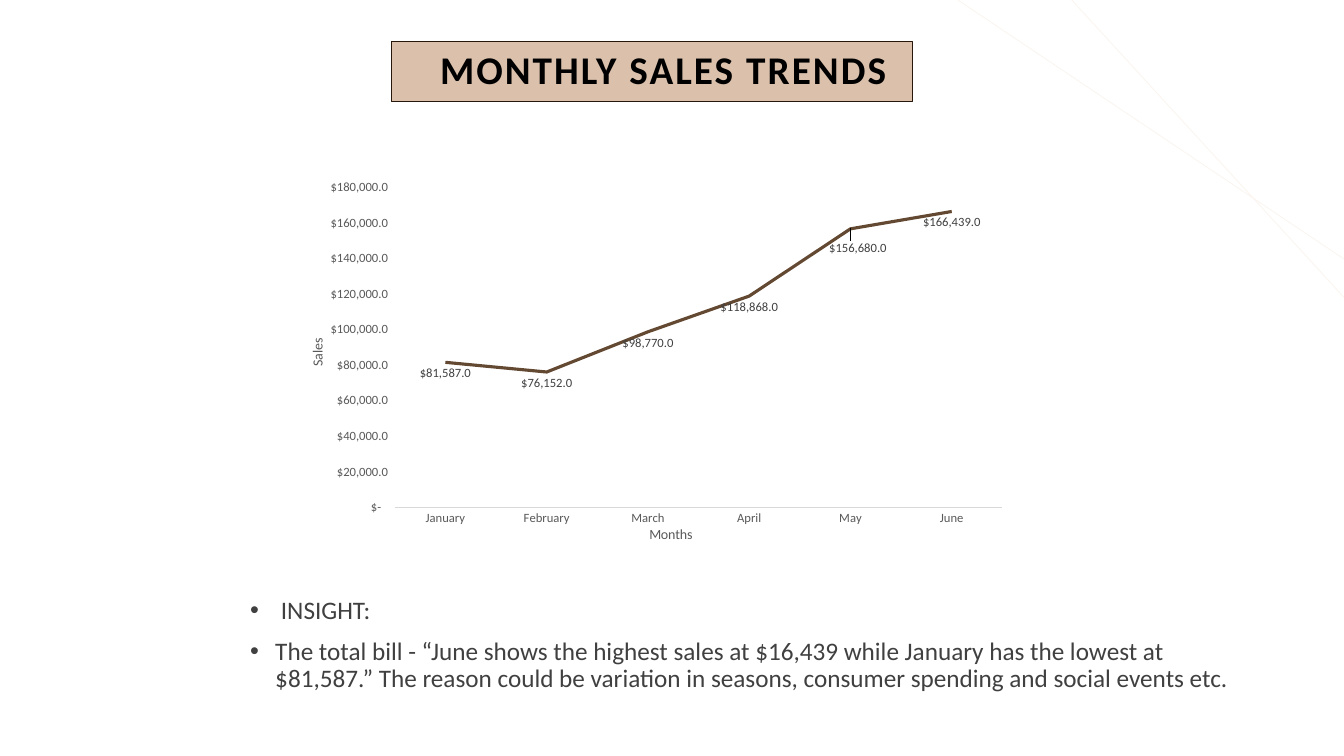
"""Build the monthly sales trends slide."""
from lxml import etree
from pptx import Presentation
from pptx.chart.data import CategoryChartData
from pptx.dml.color import RGBColor
from pptx.enum import chart as ch, shapes, text
from pptx.oxml.ns import qn
from pptx.util import Inches, Pt

WHITE = RGBColor(0xFF, 0xFF, 0xFF)
BLACK = RGBColor(0, 0, 0)
TAN = RGBColor(0xDB, 0xC1, 0xAC)
DARK_BROWN = RGBColor(0x27, 0x16, 0x0A)
BROWN = RGBColor(0x63, 0x48, 0x32)
CREAM = RGBColor(0xFB, 0xF4, 0xEF)
TEXT_GREY = RGBColor(0x40, 0x40, 0x40)
AXIS_GREY = RGBColor(0x59, 0x59, 0x59)
LINE_GREY = RGBColor(0xD9, 0xD9, 0xD9)
FONT = "Calibri"
MONEY = ('_-[$$-409]* #,##0.0_ ;_-[$$-409]* \\-#,##0.0\\ ;'
         '_-[$$-409]* "-"?_ ;_-@_ ')
SALES = {"January": 81587, "February": 76152, "March": 98770,
         "April": 118868, "May": 156680, "June": 166439}
INSIGHTS = (
    " INSIGHT:",
    "The total bill - “June shows the highest sales at $16,439 while January "
    "has the lowest at $81,587.” The reason could be variation in seasons, "
    "consumer spending and social events etc.",
)


def style(font, size, color, bold=False):
    font.name, font.size, font.bold = FONT, Pt(size), bold
    font.color.rgb = color


def place(sp, left, top, width, height):
    sp.left, sp.top = Inches(left), Inches(top)
    sp.width, sp.height = Inches(width), Inches(height)


def add_line(s, x1, y1, x2, y2):
    sp = s.shapes.add_connector(shapes.MSO_CONNECTOR.STRAIGHT, Inches(x1),
                                Inches(y1), Inches(x2), Inches(y2))
    sp.line.color.rgb = CREAM
    sp.line.width = Pt(0.5)
    etree.SubElement(sp._element.spPr, qn("a:effectLst"))


def add_title(s, title):
    sp = s.shapes.title
    place(sp, 3.88, 0.41, 5.17, 0.6)
    sp.fill.solid()
    sp.fill.fore_color.rgb = TAN
    sp.line.color.rgb = DARK_BROWN
    sp.line.width = Pt(1)
    tf = sp.text_frame
    tf.auto_size = text.MSO_AUTO_SIZE.NONE
    tf.vertical_anchor = text.MSO_ANCHOR.MIDDLE
    tf.margin_left = Inches(0.33)
    p = tf.paragraphs[0]
    p.alignment, p.line_spacing = text.PP_ALIGN.CENTER, 0.9
    r = p.add_run()
    r.text = title
    style(r.font, 28, BLACK, True)
    r.font._element.set("spc", "150")


def add_bullets(s, lines):
    sp = s.placeholders[1]
    place(sp, 2.38, 5.88, 10.02, 1.5)
    tf = sp.text_frame
    tf.auto_size = text.MSO_AUTO_SIZE.NONE
    for i, line in enumerate(lines):
        p = tf.add_paragraph() if i else tf.paragraphs[0]
        pPr = p._p.get_or_add_pPr()
        pPr.set("marL", str(Inches(0.25)))
        pPr.set("indent", str(-Inches(0.25)))
        etree.SubElement(pPr, qn("a:buFont"), typeface="Arial")
        etree.SubElement(pPr, qn("a:buChar"), char="•")
        p.line_spacing = 0.9
        p.space_before = Pt(10 if i else 0)
        r = p.add_run()
        r.text = line
        style(r.font, 18, TEXT_GREY)


def set_layout(parent, index, **values):
    layout = parent.find(qn("c:layout"))
    if layout is not None:
        parent.remove(layout)
    layout = etree.Element(qn("c:layout"))
    parent.insert(index, layout)
    manual = etree.SubElement(layout, qn("c:manualLayout"))
    for name, value in values.items():
        etree.SubElement(manual, qn("c:" + name), val=str(value))


def format_axis(axis, title, x, y):
    axis.has_major_gridlines = False
    axis.major_tick_mark = axis.minor_tick_mark = ch.XL_TICK_MARK.NONE
    style(axis.tick_labels.font, 9, AXIS_GREY)
    r = axis.axis_title.text_frame.paragraphs[0].add_run()
    r.text = title
    style(r.font, 10, AXIS_GREY)
    set_layout(axis.axis_title._element, 1, xMode="edge", yMode="edge", x=x, y=y)


def format_labels(labels):
    style(labels.font, 9, TEXT_GREY)
    labels.position = ch.XL_LABEL_POSITION.BELOW


def add_sales_chart(s):
    data = CategoryChartData(number_format=MONEY)
    data.categories = list(SALES)
    data.add_series("Series 1", list(SALES.values()))
    chart = s.shapes.add_chart(ch.XL_CHART_TYPE.LINE, Inches(2.96), Inches(1.55),
                               Inches(7.35), Inches(3.88), data).chart
    style(chart.font, 10, BLACK)
    chart.has_legend = chart.has_title = False

    months, sales = chart.category_axis, chart.value_axis
    format_axis(months, "Months", 0.47, 0.94)
    format_axis(sales, "Sales", 0.01, 0.46)
    months.format.line.color.rgb = LINE_GREY
    months.format.line.width = Pt(0.75)
    sales.format.line.fill.background()
    sales.minimum_scale, sales.maximum_scale = 0, 180000
    sales.major_unit = 20000
    sales.tick_labels.number_format = MONEY
    sales.tick_labels.number_format_is_linked = False

    plot = chart.plots[0]
    plot.vary_by_categories = False
    series = plot.series[0]
    series.smooth = False
    series.marker.style = ch.XL_MARKER_STYLE.NONE
    series.format.line.color.rgb = BROWN
    series.format.line.width = Pt(2.25)
    labels = series.data_labels
    labels.show_value = True
    labels.number_format = MONEY
    labels.number_format_is_linked = False
    format_labels(labels)
    format_labels(series.points[list(SALES).index("May")].data_label)
    may_label = chart._chartSpace.find(".//" + qn("c:dLbl"))
    set_layout(may_label, 1, x=0.01, y=0.02)
    set_layout(chart._chartSpace.find(".//" + qn("c:plotArea")), 0,
               layoutTarget="inner", xMode="edge", yMode="edge",
               x=0.13, y=0.08, w=0.82, h=0.82)


def main():
    prs = Presentation()
    prs.slide_width, prs.slide_height = Inches(13.33), Inches(7.5)
    s = prs.slides.add_slide(prs.slide_layouts[1])
    s.background.fill.solid()
    s.background.fill.fore_color.rgb = WHITE
    add_line(s, 9.5, 0, 13.33, 2.57)
    add_line(s, 10.63, 0, 13.33, 2.95)
    add_title(s, "MONTHLY SALES TRENDS")
    add_bullets(s, INSIGHTS)
    add_sales_chart(s)
    prs.save("out.pptx")


if __name__ == "__main__":
    main()
